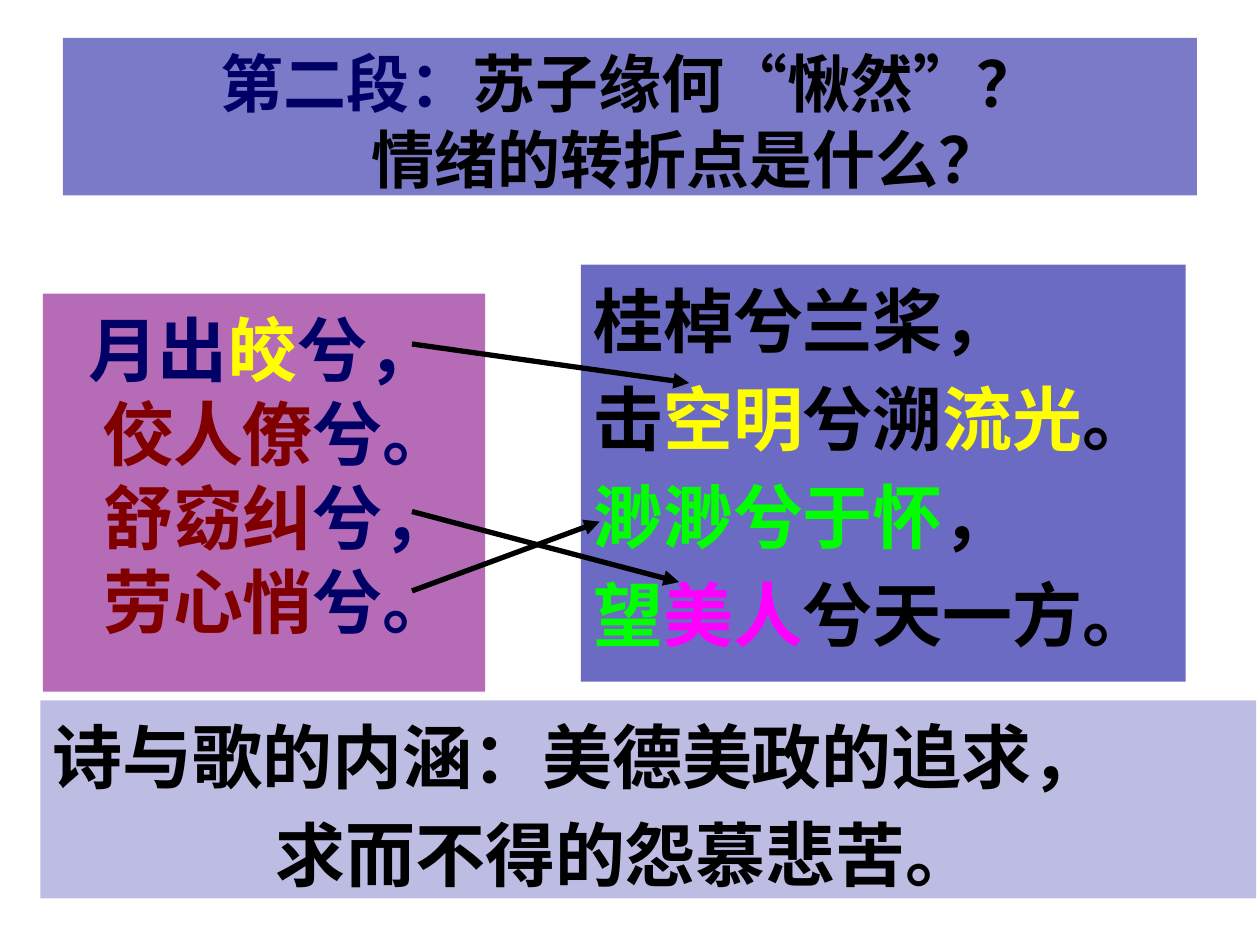
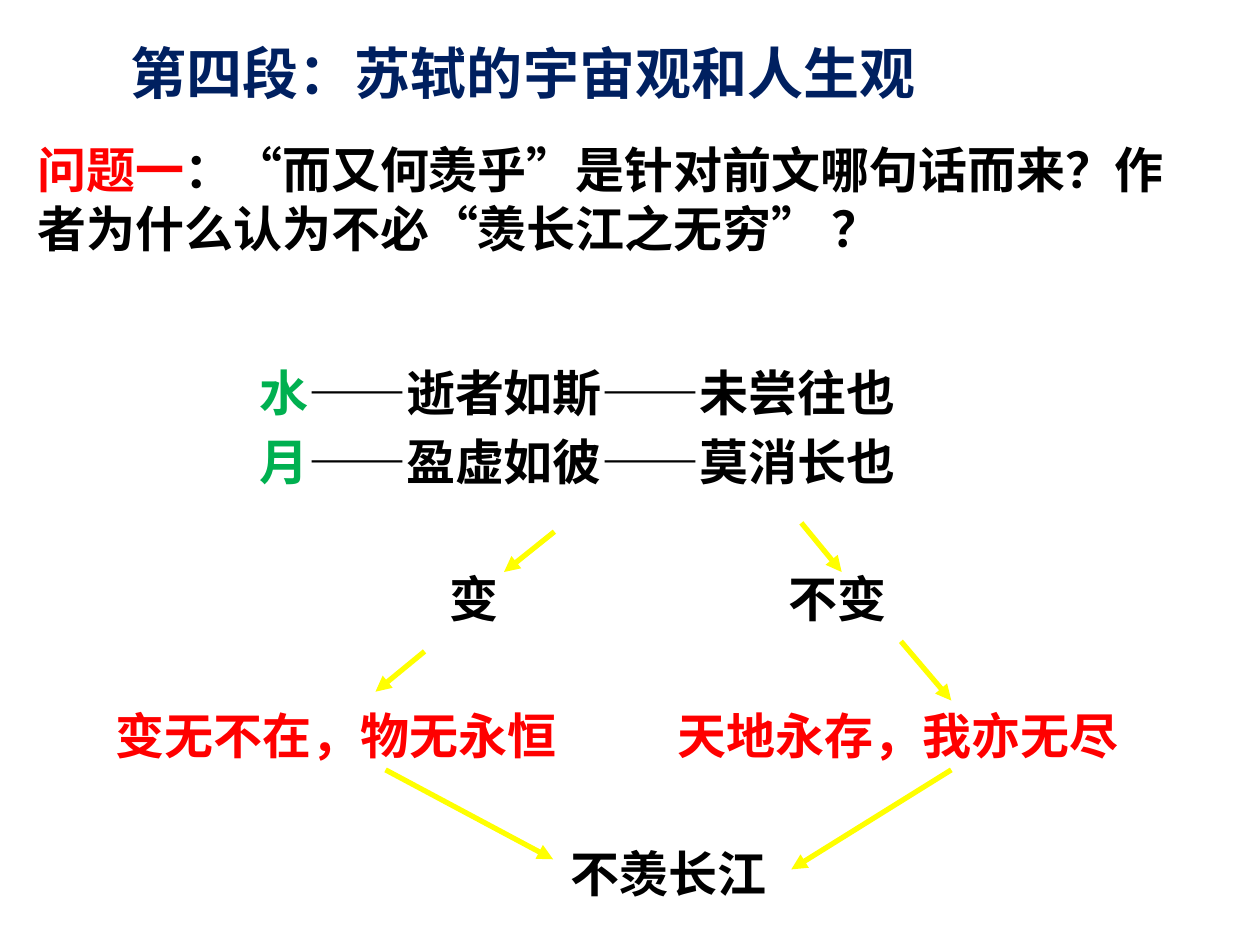
"""Build two lesson slides on the Red Cliff rhapsody."""
from dataclasses import dataclass

from lxml import etree
from pptx import Presentation
from pptx import util as u
from pptx.dml.color import RGBColor
from pptx.enum import shapes, text
from pptx.oxml.ns import qn
from pptx.slide import Slide

HAN_FONT = "Noto Sans CJK SC"
BLACK, NAVY, BLUE, PURPLE = "000000", "000066", "000099", "800080"
MAROON, YELLOW, LIME, MAGENTA = "800000", "FFFF00", "00FF00", "FF00FF"
RED, GREEN, DEEP_BLUE = "FF0000", "00B050", "002060"
LEADING, PARAGRAPH_GAP = 1.2, 0.2


@dataclass(frozen=True)
class Span:
    """A stretch of text in one colour."""
    words: str
    color: str = BLACK
    font: str = ""


@dataclass(frozen=True)
class Line:
    """A paragraph of spans with a left indent in inches."""
    spans: tuple[Span, ...]
    indent: float = 0


@dataclass(frozen=True)
class Passage:
    """A block of lines, on a tinted panel when it has a fill."""
    left: float
    top: float
    width: float
    height: float
    size: int
    lines: tuple[Line, ...]
    font: str = HAN_FONT
    fill: str = ""
    opacity: int = 100
    gap: float = PARAGRAPH_GAP
    centred: bool = False
    wrap: bool = True


@dataclass(frozen=True)
class Arrow:
    """A straight arrow between two points in inches."""
    x1: float
    y1: float
    x2: float
    y2: float


def rgb(value: str) -> RGBColor:
    """Turn a hex string into a colour."""
    return RGBColor.from_string(value)


def line(*spans: Span, indent: float = 0) -> Line:
    """Gather spans into a line."""
    return Line(spans, indent)


def draw_passage(slide: Slide, passage: Passage) -> None:
    """Draw a block of text with its panel."""
    area = [u.Inches(n) for n in
            (passage.left, passage.top, passage.width, passage.height)]
    if passage.fill:
        block = slide.shapes.add_shape(shapes.MSO_SHAPE.RECTANGLE, *area)
        block.shadow.inherit = False
        block.line.fill.background()
        block.fill.solid()
        block.fill.fore_color.rgb = rgb(passage.fill)
        tint = next(block.element.iter(qn("a:srgbClr")))
        etree.SubElement(tint, qn("a:alpha")).set("val", str(passage.opacity * 1000))
    else:
        block = slide.shapes.add_textbox(*area)
    frame = block.text_frame
    frame.word_wrap = passage.wrap
    frame.margin_top, frame.margin_bottom = u.Inches(0.1), u.Inches(0.04)
    frame.vertical_anchor = (text.MSO_ANCHOR.MIDDLE if passage.centred
                             else text.MSO_ANCHOR.TOP)
    for index, verse in enumerate(passage.lines):
        paragraph = frame.add_paragraph() if index else frame.paragraphs[0]
        paragraph.alignment = (text.PP_ALIGN.CENTER if passage.centred
                               else text.PP_ALIGN.LEFT)
        paragraph.line_spacing = u.Pt(passage.size * LEADING)
        if index:
            paragraph.space_before = u.Pt(passage.size * passage.gap)
        paragraph._p.get_or_add_pPr().set("marL", str(u.Inches(verse.indent)))
        for span in verse.spans:
            run = paragraph.add_run()
            run.text = span.words
            run.font.size = u.Pt(passage.size)
            run.font.bold = True
            run.font.color.rgb = rgb(span.color)
            run.font.name = span.font or passage.font
            han = etree.SubElement(run.font._element, qn("a:ea"))
            han.set("typeface", HAN_FONT)


def draw_arrow(slide: Slide, arrow: Arrow, color: str) -> None:
    """Draw an arrow that points at its second end."""
    ends = [u.Inches(n) for n in (arrow.x1, arrow.y1, arrow.x2, arrow.y2)]
    link = slide.shapes.add_connector(shapes.MSO_CONNECTOR.STRAIGHT, *ends)
    link.line.color.rgb = rgb(color)
    link.line.width = u.Pt(3)
    etree.SubElement(link.line._get_or_add_ln(), qn("a:tailEnd")).set("type", "triangle")
    etree.SubElement(link.element.spPr, qn("a:effectLst"))


def add_slide(deck: Presentation, passages: list[Passage],
              arrows: list[Arrow], arrow_color: str) -> None:
    """Add a slide with its passages under its arrows."""
    slide = deck.slides.add_slide(deck.slide_layouts[6])
    for passage in passages:
        draw_passage(slide, passage)
    for arrow in arrows:
        draw_arrow(slide, arrow, arrow_color)


def quoted(words: str) -> tuple[Span, Span, Span]:
    """Put words between quotation marks."""
    return Span("“", font="Arial"), Span(words), Span("”", font="Arial")


def idea(left: float, row: int, *lines: Line) -> Passage:
    """Place a step of the argument on the row grid."""
    size = 28
    row_height = size * (LEADING + PARAGRAPH_GAP) / 72
    longest = max(sum(len(span.words) for span in verse.spans) for verse in lines)
    return Passage(left, 2.78 + row * row_height, longest * size / 72 + 0.2,
                   len(lines) * row_height + 0.1, size, lines, "Calibri", wrap=False)


def poem_slide(deck: Presentation) -> None:
    """Match the old poem with the song."""
    question = Passage(0.5, 0.3, 9, 1.25, 36, (
        line(Span("第二段：", NAVY), Span("苏子缘何"), *quoted("愀然"), Span("？")),
        line(Span("情绪的转折点是什么？"), indent=0.9),
    ), fill=BLUE, opacity=52, gap=0, centred=True)
    poem = Passage(0.34, 2.33, 3.51, 3.16, 40, (
        line(Span("月出", NAVY), Span("皎", YELLOW), Span("兮，", NAVY), indent=0.26),
        *(line(Span(words, MAROON), Span(ending, NAVY), indent=0.38)
          for words, ending in (("佼人僚", "兮。"), ("舒窈纠", "兮，"), ("劳心悄", "兮。"))),
    ), "Calibri", PURPLE, 58, gap=0)
    song = Passage(4.61, 2.1, 4.8, 3.31, 40, (
        line(Span("桂棹兮兰桨，")),
        line(Span("击"), Span("空明", YELLOW), Span("兮溯"),
             Span("流光", YELLOW), Span("。")),
        line(Span("渺渺兮于怀", LIME), Span("，")),
        line(Span("望", LIME), Span("美人", MAGENTA), Span("兮天一方。")),
    ), "Cabin", BLUE, 58)
    meaning = Passage(0.32, 5.56, 9.65, 1.57, 40, (
        line(Span("诗与歌的内涵：美德美政的追求，")),
        line(Span("求而不得的怨慕悲苦。"), indent=1.77),
    ), fill=BLUE, opacity=26)
    echoes = [Arrow(3.27, 4.06, 5.39, 4.62), Arrow(3.27, 4.69, 4.76, 4.14),
              Arrow(3.27, 2.73, 5.47, 3.04)]
    add_slide(deck, [question, poem, song, meaning], echoes, BLACK)


def worldview_slide(deck: Presentation) -> None:
    """Trace the argument from water and moon to its conclusion."""
    heading = Passage(0.94, 0.21, 6.51, 0.64, 32, (
        line(Span("第四段：苏轼的宇宙观和人生观", DEEP_BLUE)),), wrap=False)
    question = Passage(0.2, 1.01, 9.21, 1.04, 28, (
        line(Span("问题一", RED), Span("："), *quoted("而又何羡乎"),
             Span("是针对前文哪句话而来？作者为什么认为不必"),
             *quoted("羡长江之无穷"), Span(" ？")),), "Cabin")
    argument = [
        idea(1.96, 0,
             line(Span("水", GREEN), Span("——逝者如斯——未尝往也")),
             line(Span("月", GREEN), Span("——盈虚如彼——莫消长也"))),
        idea(3.47, 3, line(Span("变"))),
        idea(6.16, 3, line(Span("不变"))),
        idea(0.82, 5, line(Span("变无不在，物无永恒", RED))),
        idea(5.28, 5, line(Span("天地永存，我亦无尽", RED))),
        idea(4.43, 7, line(Span("不羡长江"))),
    ]
    steps = [Arrow(4.4, 4.22, 4, 4.54), Arrow(3.37, 5.17, 2.98, 5.49),
             Arrow(7.15, 5.09, 7.55, 5.56), Arrow(6.36, 4.15, 6.68, 4.54),
             Arrow(3.06, 6.11, 4.39, 6.82), Arrow(7.55, 6.11, 6.28, 6.9)]
    add_slide(deck, [heading, question, *argument], steps, YELLOW)


def main() -> None:
    """Build and save the deck."""
    deck = Presentation()
    deck.slide_width, deck.slide_height = u.Inches(10), u.Inches(7.5)
    poem_slide(deck)
    worldview_slide(deck)
    deck.save("out.pptx")


if __name__ == "__main__":
    main()
